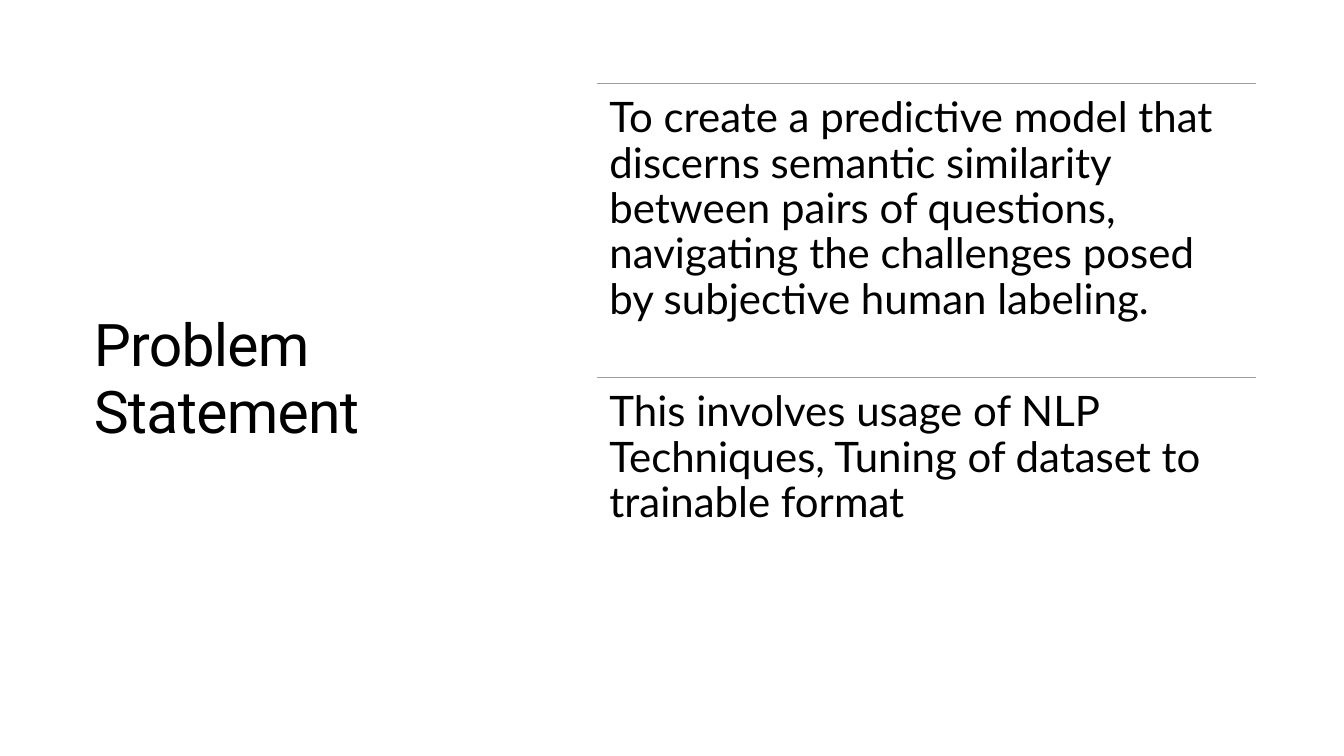
from lxml import etree
from pptx import Presentation
from pptx.dml.color import RGBColor
from pptx.enum import shapes, text
from pptx.oxml import ns
from pptx.util import Cm, Pt

BLACK = RGBColor(0x00, 0x00, 0x00)
WHITE = RGBColor(0xFF, 0xFF, 0xFF)
OLIVE = RGBColor(0xA5, 0xA2, 0x7D)
TAN = RGBColor(0xB7, 0x9A, 0x7A)

HEAD = "Problem Statement"
POINTS = [
    ("To create a predictive model that discerns semantic similarity between "
     "pairs of questions, navigating the challenges posed by subjective human "
     "labeling.", OLIVE),
    ("This involves usage of NLP Techniques, Tuning of dataset to trainable "
     "format", TAN),
]

WIDE, HIGH = Cm(33.87), Cm(19.05)
LEFT, TOP, WIDTH, STEP = Cm(15.04), Cm(2.11), Cm(16.61), Cm(7.41)
INSET = Cm(0.32)


def write(frame, words, font, size, space):
    frame.word_wrap = True
    frame.auto_size = text.MSO_AUTO_SIZE.NONE
    para = frame.paragraphs[0]
    para.alignment = text.PP_ALIGN.LEFT
    para.line_spacing = space
    run = para.add_run()
    run.text = words
    run.font.name = font
    run.font.size = Pt(size)
    run.font.color.rgb = BLACK
    return run


def add_panel(slide):
    panel = slide.shapes.add_shape(
        shapes.MSO_SHAPE.RECTANGLE, 0, 0, WIDE, HIGH)
    panel.shadow.inherit = False
    panel.fill.solid()
    panel.fill.fore_color.rgb = WHITE
    panel.line.fill.background()
    slide.shapes.title._element.addprevious(panel._element)


def add_rule(slide, y, color):
    rule = slide.shapes.add_connector(
        shapes.MSO_CONNECTOR.STRAIGHT, LEFT, y, LEFT + WIDTH, y)
    rule.line.color.rgb = color
    rule.line.width = Pt(1)
    etree.SubElement(rule._element.spPr, ns.qn("a:effectLst"))


def add_point(slide, y, words):
    box = slide.shapes.add_textbox(LEFT, y, WIDTH, STEP)
    frame = box.text_frame
    frame.margin_left = frame.margin_right = INSET
    frame.margin_top = frame.margin_bottom = INSET
    frame.vertical_anchor = text.MSO_ANCHOR.TOP
    write(frame, words, "Lato", 30, 0.9)


def main():
    deck = Presentation()
    deck.slide_width, deck.slide_height = WIDE, HIGH
    slide = deck.slides.add_slide(deck.slide_layouts[5])
    add_panel(slide)

    title = slide.shapes.title
    title.left, title.top = Cm(2.11), Cm(2.16)
    title.width, title.height = Cm(10.85), Cm(14.83)
    title.text_frame.vertical_anchor = text.MSO_ANCHOR.MIDDLE
    run = write(title.text_frame, HEAD, "Roboto", 42, 0.95)
    run.font._element.set("spc", "-50")

    for i, (words, color) in enumerate(POINTS):
        y = TOP + i * STEP
        add_rule(slide, y, color)
        add_point(slide, y, words)

    deck.save("out.pptx")


if __name__ == "__main__":
    main()
